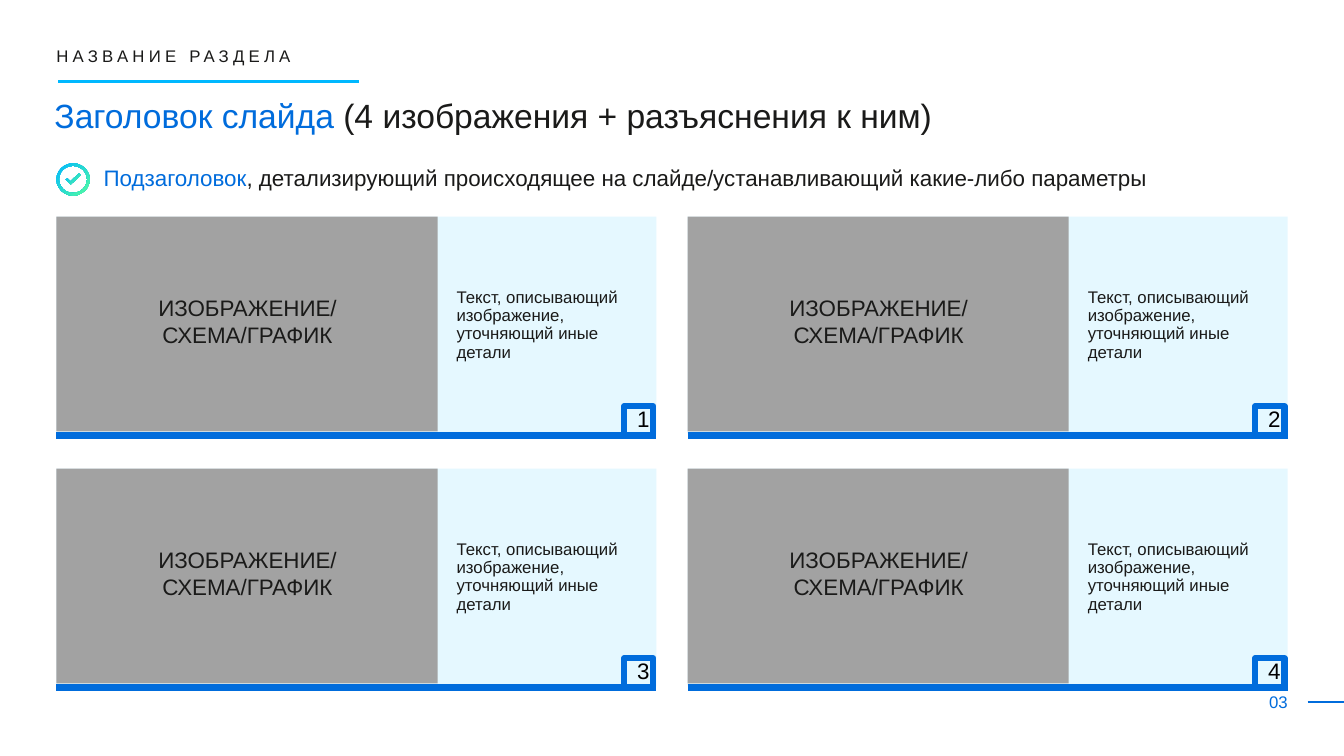
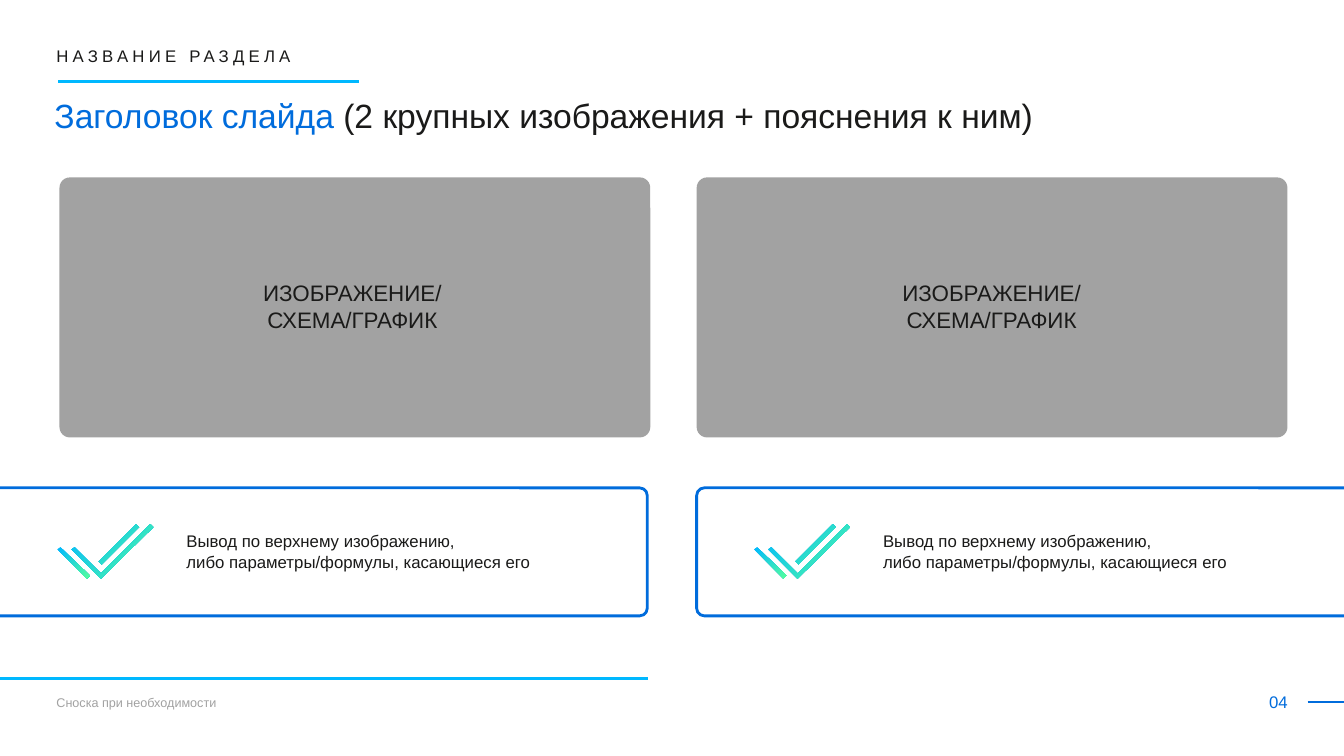
"""Build two slides that pair image areas with short explanations."""
from lxml import etree
from pptx import Presentation
from pptx import util as u
from pptx.dml.color import RGBColor
from pptx.enum import shapes, text
from pptx.oxml.ns import qn

PX = 9144
FONT = "Arial"
INK = {
    "blue": "006CDC",
    "sky": "00B8FF",
    "mint": "54FF9F",
    "pale": "E5F8FF",
    "gray": "A2A2A2",
    "dark": "1A1A19",
    "black": "000000",
    "white": "FFFFFF",
}
KIND = shapes.MSO_SHAPE
LEFT = text.PP_ALIGN.LEFT
MID = text.PP_ALIGN.CENTER
IMAGE = "ИЗОБРАЖЕНИЕ/\nСХЕМА/ГРАФИК"
DETAIL = "Текст, описывающий\nизображение,\nуточняющий иные\nдетали"
RESULT = "Вывод по верхнему изображению,\nлибо параметры/формулы, касающиеся его"
TICK = [(65, 178), (67, 177), (70, 180), (78, 172), (80, 174), (70, 183)]
MARKS = [
    [(98, 557), (101, 560), (138, 523), (135, 520)],
    [(71, 545), (74, 543), (100, 569), (149, 520), (152, 523), (100, 574)],
    [(57, 545), (60, 543), (89, 571), (86, 574)],
]


def rgb(name):
    """Return the named colour."""
    return RGBColor.from_string(INK[name])


def emu(*sizes):
    """Turn px into EMU."""
    return [u.Emu(size * PX) for size in sizes]


def write(frame, runs, size=12, align=LEFT, space=1.0, gap=0, pad=(10, 5),
          anchor=text.MSO_ANCHOR.TOP):
    """Fill a text frame with (text, colour) runs in one format."""
    frame.word_wrap = True
    frame.auto_size = text.MSO_AUTO_SIZE.NONE
    frame.vertical_anchor = anchor
    frame.margin_left = frame.margin_right = u.Emu(pad[0] * PX)
    frame.margin_top = frame.margin_bottom = u.Emu(pad[1] * PX)
    para = frame.paragraphs[0]
    para.alignment = align
    para.line_spacing = space
    for words, tint in runs:
        for num, line in enumerate(words.split("\n")):
            if num:
                para.add_line_break()
            run = para.add_run()
            run.text = line
            run.font.name = FONT
            run.font.size = u.Pt(size)
            run.font.color.rgb = rgb(tint)
            if gap:
                run.font._element.set("spc", str(gap * 100))


def label(slide, box, words, tint="dark", **form):
    """Add a text box; words may be a string or a list of runs."""
    runs = [(words, tint)] if isinstance(words, str) else words
    write(slide.shapes.add_textbox(*emu(*box)).text_frame, runs, **form)


def block(slide, box, fill=None, line=None, width=2, kind=KIND.RECTANGLE,
          bend=None):
    """Add a preset shape with a plain fill or outline."""
    shape = slide.shapes.add_shape(kind, *emu(*box))
    shape.shadow.inherit = False
    if bend is not None:
        shape.adjustments[0] = bend
    if fill:
        shape.fill.solid()
        shape.fill.fore_color.rgb = rgb(fill)
    else:
        shape.fill.background()
    if line:
        shape.line.color.rgb = rgb(line)
        shape.line.width = u.Pt(width)
    else:
        shape.line.fill.background()
    return shape


def rule(slide, left, right, top, tint="blue", width=2.0):
    """Add a level line."""
    line = slide.shapes.add_connector(
        shapes.MSO_CONNECTOR.STRAIGHT, *emu(left, top, right, top))
    line.line.color.rgb = rgb(tint)
    line.line.width = u.Pt(width)
    etree.SubElement(line._element.spPr, qn("a:effectLst"))


def blend(shape):
    """Fill a shape with the sky to mint gradient."""
    shape.fill.gradient()
    shape.fill.gradient_angle = 315
    for stop, tint in zip(shape.fill.gradient_stops, ("sky", "mint")):
        stop.color.rgb = rgb(tint)


def stroke(slide, points, shift=0):
    """Add a closed gradient outline moved right by shift."""
    spots = [(x + shift, y) for x, y in points]
    pen = slide.shapes.build_freeform(*spots[0], scale=PX)
    pen.add_line_segments(spots[1:], close=True)
    shape = pen.convert_to_shape()
    shape.shadow.inherit = False
    shape.line.fill.background()
    blend(shape)


def start(deck, topic, page):
    """Add a slide with its section name, title and page number."""
    slide = deck.slides.add_slide(deck.slide_layouts[5])
    slide.background.fill.solid()
    slide.background.fill.fore_color.rgb = rgb("white")
    title = slide.shapes.title
    title.left, title.top, title.width, title.height = emu(44, 97, 1253, 42)
    write(title.text_frame,
          [("Заголовок слайда ", "blue"), (topic, "dark")],
          size=24, space=0.8)
    label(slide, (53, 38, 260, 28), "НАЗВАНИЕ РАЗДЕЛА", space=1.2, gap=3,
          pad=(3, 3))
    rule(slide, 58, 356, 81, tint="sky")
    label(slide, (1246, 681, 44, 30), page, tint="blue", align=MID)
    rule(slide, 1297, 1353, 696, width=1.5)
    return slide


def card(slide, left, top, num):
    """Add an image area with its description and numbered badge."""
    block(slide, (left, top, 595, 216), fill="pale")
    block(slide, (left, top, 378, 213), fill="gray")
    label(slide, (left + 50, top + 72, 279, 64), IMAGE, size=16, align=MID)
    label(slide, (left + 387, top + 67, 209, 83), DETAIL, space=0.9)
    block(slide, (left + 563, top + 188, 29, 29), line="blue", width=4.5)
    label(slide, (left + 570, top + 185, 24, 34), str(num), tint="black",
          size=16, align=MID, space=0.9, pad=(0, 5))
    rule(slide, left, left + 595, top + 217, width=4.5)


def four(deck):
    """Build the slide with four image cards."""
    slide = start(deck, "(4 изображения + разъяснения к ним)", "03")
    ring = block(slide, (56, 162, 33, 32), kind=KIND.DONUT, bend=0.08)
    blend(ring)
    stroke(slide, TICK)
    label(slide, (93, 161, 1163, 34), [
        ("Подзаголовок", "blue"),
        (", детализирующий происходящее на слайде/устанавливающий"
         " какие-либо параметры", "dark"),
    ], size=16, space=0.9)
    for num in range(4):
        row, col = divmod(num, 2)
        card(slide, 56 + col * 626, 215 + row * 250, num + 1)


def two(deck):
    """Build the slide with two large images and their conclusions."""
    slide = start(deck, "(2 крупных изображения + пояснения к ним)", "04")
    for col in range(2):
        block(slide, (59 + col * 632, 176, 586, 258), fill="gray",
              kind=KIND.ROUNDED_RECTANGLE, bend=0.04)
        label(slide, (210 + col * 634, 272, 279, 64), IMAGE, size=16,
              align=MID)
        block(slide, (-42 + col * 733, 484, 684, 127), line="blue",
              kind=KIND.ROUNDED_RECTANGLE, bend=0.06)
        shift = col * 691
        for mark in MARKS:
            stroke(slide, mark, shift)
        label(slide, (175 + shift, 522, 431, 50), RESULT)
    rule(slide, -42, 643, 673, tint="sky")
    label(slide, (56, 689, 200, 15), "Сноска при необходимости", tint="gray",
          size=9, pad=(0, 0), anchor=text.MSO_ANCHOR.MIDDLE)


def main():
    """Build and save the deck."""
    deck = Presentation()
    deck.slide_width, deck.slide_height = emu(1333, 750)
    four(deck)
    two(deck)
    deck.save("out.pptx")


if __name__ == "__main__":
    main()
